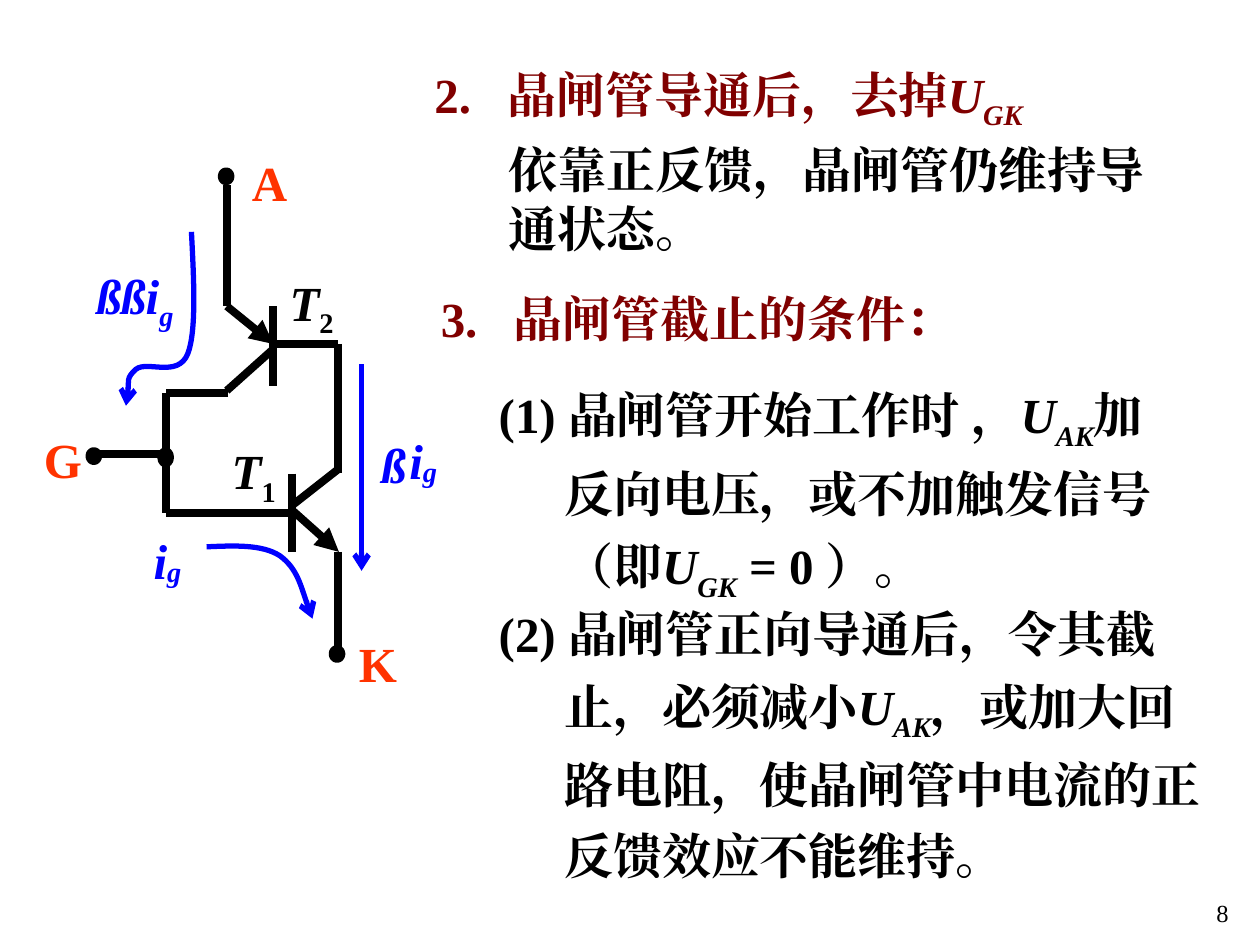
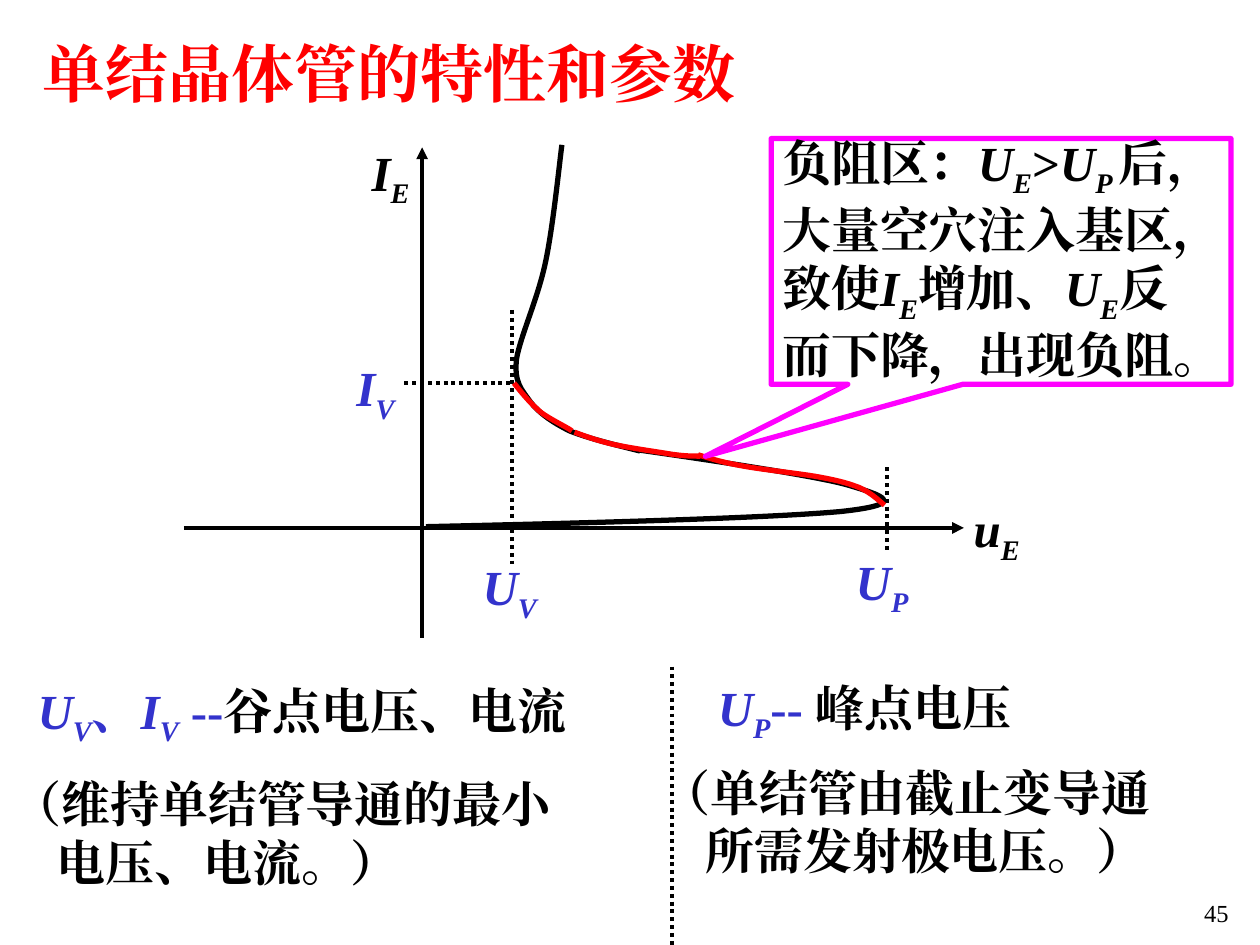
from lxml.etree import SubElement as Sub
from pptx import Presentation
from pptx.dml.color import RGBColor as RGB
from pptx.enum.dml import MSO_LINE as Dash
from pptx.enum.shapes import MSO_CONNECTOR as Conn, MSO_SHAPE as Form
from pptx.enum.text import MSO_ANCHOR as Anchor, MSO_AUTO_SIZE as Auto, PP_ALIGN as Align
from pptx.oxml.ns import qn
from pptx.util import Inches, Pt

BLACK = RGB(0x00, 0x00, 0x00)
WHITE = RGB(0xFF, 0xFF, 0xFF)
MAROON = RGB(0x80, 0x00, 0x00)
RED = RGB(0xFF, 0x00, 0x00)
ORANGE = RGB(0xFF, 0x33, 0x00)
BLUE = RGB(0x00, 0x00, 0xFF)
INDIGO = RGB(0x33, 0x33, 0xCC)
PINK = RGB(0xFF, 0x00, 0xFF)
FACE = "Times New Roman"


def write(para, text, size=28, color=BLACK, bold=True, slant=False, base=0):
    run = para.add_run()
    run.text = text
    font = run.font
    font.name, font.size = FACE, Pt(size)
    font.bold, font.italic = bold, slant
    font.color.rgb = color
    props = run._r.get_or_add_rPr()
    Sub(props, qn("a:ea")).set("typeface", FACE)
    if base:
        props.set("baseline", str(base * 1000))


def compose(para, parts, color=BLACK, drop=-25, **look):
    for part in parts:
        text, tint = part if isinstance(part, tuple) else (part, color)
        main, mark, low = text.partition("_")
        if not mark:
            write(para, text, color=tint, **look)
            continue
        write(para, main, color=tint, slant=True, **look)
        write(para, low, color=tint, slant=not low.isdigit(), base=drop, **look)


class Page:
    def __init__(self, deck, number, title=None):
        self.slide = deck.slides.add_slide(deck.slide_layouts[5 if title else 6])
        self.shapes = self.slide.shapes
        back = self.slide.background.fill
        back.solid()
        back.fore_color.rgb = WHITE
        if title:
            self.head(title)
        self.text(7.77, 7.08, 2.08, 0.5, [number], align=Align.RIGHT,
                  grow=False, size=14, bold=False)

    def place(self, shape, left, top, wide, high):
        shape.left, shape.top = Inches(left), Inches(top)
        shape.width, shape.height = Inches(wide), Inches(high)

    def head(self, title):
        shape = self.shapes.title
        self.place(shape, 0.24, 0.22, 5.8, 0.7)
        frame = shape.text_frame
        frame.auto_size, frame.word_wrap = Auto.SHAPE_TO_FIT_TEXT, True
        frame.vertical_anchor = Anchor.MIDDLE
        para = frame.paragraphs[0]
        para.alignment = Align.LEFT
        write(para, title, size=36, color=RED)

    def text(self, left, top, wide, high, *rows, wrap=True, grow=True,
             align=Align.LEFT, space=None, hang=0, inset=0, **look):
        box = self.shapes.add_textbox(*map(Inches, (left, top, wide, high)))
        frame = box.text_frame
        frame.word_wrap = wrap
        frame.auto_size = Auto.SHAPE_TO_FIT_TEXT if grow else Auto.NONE
        for spot, parts in enumerate(rows):
            para = frame.add_paragraph() if spot else frame.paragraphs[0]
            para.alignment = align
            if space:
                para.line_spacing = space
            props = para._p.get_or_add_pPr()
            props.set("hangingPunct", "0")
            if hang or (inset and spot):
                props.set("marL", str(Inches(hang or inset)))
                props.set("indent", str(-Inches(hang)))
            compose(para, parts, **look)

    def label(self, left, top, wide, name, high=0.63, **look):
        self.text(left, top, wide, high, [name], wrap=False, **look)

    def stroke(self, shape, color, width, dash=None, tip=None):
        line = shape.line
        line.color.rgb, line.width = color, Pt(width)
        if dash:
            line.dash_style = dash
        if tip:
            Sub(line._get_or_add_ln(), qn("a:tailEnd")).set("type", tip)

    def line(self, ax, ay, bx, by, color=BLACK, width=4.5, **style):
        wire = self.shapes.add_connector(Conn.STRAIGHT, *map(Inches, (ax, ay, bx, by)))
        self.stroke(wire, color, width, **style)
        Sub(wire._element.spPr, qn("a:effectLst"))

    def curve(self, start, *bends, color=BLACK, **style):
        dots = [(Inches(bend[k]), Inches(bend[k + 1])) for bend in bends for k in (0, 2, 4)]
        pen = self.shapes.build_freeform(*map(Inches, start))
        pen.add_line_segments(dots, close=False)
        shape = pen.convert_to_shape()
        track = next(shape._element.iter(qn("a:path")))
        legs = track.findall(qn("a:lnTo"))
        for first in range(0, len(legs), 3):
            bend = Sub(track, qn("a:cubicBezTo"))
            for leg in legs[first:first + 3]:
                bend.append(leg[0])
                track.remove(leg)
        shape.shadow.inherit = False
        shape.fill.background()
        self.stroke(shape, color, 3, **style)

    def node(self, left, top, high=0.08):
        dot = self.shapes.add_shape(Form.OVAL, *map(Inches, (left, top, 0.07, high)))
        dot.shadow.inherit = False
        dot.fill.solid()
        dot.fill.fore_color.rgb = BLACK
        self.stroke(dot, BLACK, 4.5)

    def callout(self, left, top, wide, high, tipx, tipy):
        shape = self.shapes.add_shape(Form.RECTANGULAR_CALLOUT,
                                      *map(Inches, (left, top, wide, high)))
        shape.adjustments[0], shape.adjustments[1] = tipx, tipy
        shape.shadow.inherit = False
        shape.fill.background()
        self.stroke(shape, PINK, 3)


def circuit(page):
    wires = [
        (1.8, 1.47, 1.8, 2.02), (1.8, 2.02, 1.8, 2.43),
        (2.17, 2.43, 2.17, 3.06), (2.17, 2.77, 1.8, 3.1),
        (1.81, 3.12, 1.57, 3.12), (1.73, 3.12, 1.32, 3.12),
        (1.32, 3.12, 1.32, 4.07), (0.78, 3.6, 1.32, 3.6),
        (2.34, 4.07, 1.32, 4.07), (2.32, 3.76, 2.32, 4.38),
        (2.69, 3.72, 2.32, 4.01), (2.2, 2.73, 2.68, 2.73),
        (2.68, 2.73, 2.68, 3.75), (2.68, 4.38, 2.68, 5.17),
    ]
    for wire in wires:
        page.line(*wire)
    page.line(1.8, 2.43, 2.17, 2.73, tip="triangle")
    page.line(2.32, 4.05, 2.69, 4.38, tip="triangle")
    for left, top in [(0.71, 3.58), (1.76, 1.36), (2.64, 5.15)]:
        page.node(left, top)
    page.node(1.28, 3.58, high=0.1)

    flow = dict(color=BLUE, tip="arrow")
    page.curve((1.64, 4.34), (1.86, 4.33, 2.08, 4.32, 2.22, 4.41),
               (2.36, 4.51, 2.45, 4.84, 2.48, 4.91), **flow)
    page.curve((1.52, 1.84), (1.54, 2.23, 1.56, 2.63, 1.49, 2.81),
               (1.41, 3, 1.17, 2.86, 1.08, 2.93), (1, 3, 1.02, 3.17, 1, 3.22), **flow)
    page.line(2.87, 2.89, 2.87, 4.53, width=3, **flow)

    for left, top, wide, name in [(1.9, 1.16, 0.48, "A"), (0.25, 3.36, 0.5, "G"),
                                  (2.75, 4.98, 0.5, "K")]:
        page.label(left, top, wide, name, high=0.57, color=ORANGE)
    for left, top in [(1.12, 4.16), (3.15, 3.37)]:
        page.label(left, top, 0.42, "i_g", high=0.57, color=BLUE, drop=-6)
    page.label(2.93, 3.4, 0.39, "ß", high=0.57, color=BLUE, slant=True)
    page.label(0.67, 2.06, 0.81, "ßßi_g", color=BLUE)
    page.label(1.74, 3.45, 0.55, "T_1")
    page.text(2.2, 2.11, 0.87, 0.63, ["T_2"])


def turnoff(deck):
    page = Page(deck, "8")
    page.text(3.35, 0.46, 5.3, 0.63, ["2.\t晶闸管导通后，去掉", "U_GK"],
              color=MAROON, hang=0.58)
    page.text(3.94, 1.06, 5.37, 1.04, ["依靠正反馈，晶闸管仍维持导通状态。"])
    page.text(3.4, 2.24, 4.6, 0.57, ["3.\t晶闸管截止的条件："], color=MAROON, hang=0.58)
    item = dict(space=1.2, hang=0.52)
    page.text(3.86, 2.9, 5.52, 1.94,
              ["(1) 晶闸管开始工作时 ，", "U_AK", "加反向电压，或不加触发信号（即",
               "U_GK", " = 0 ）。"], **item)
    page.text(3.86, 4.65, 5.92, 2.42,
              ["(2) 晶闸管正向导通后，令其截止，必须减小", "U_AK",
               "，或加大回路电阻，使晶闸管中电流的正反馈效应不能维持。"], **item)
    circuit(page)


def graph(page):
    for axis in [(3.35, 5.06, 3.35, 1.17), (1.46, 4.19, 7.65, 4.19)]:
        page.line(*axis, width=2.25, tip="triangle")
    for guide in [(4.06, 2.46, 4.06, 4.48), (7.04, 3.71, 7.04, 4.38),
                  (3.21, 3.04, 4.06, 3.04), (5.33, 5.29, 5.33, 7.5)]:
        page.line(*guide, width=2.25, dash=Dash.ROUND_DOT)
    for left, top, wide, name, color in [
            (2.85, 1.08, 0.5, "I_E", BLACK), (7.61, 3.91, 0.6, "u_E", BLACK),
            (3.73, 4.37, 0.63, "U_V", INDIGO), (6.69, 4.33, 0.62, "U_P", INDIGO),
            (2.73, 2.79, 0.5, "I_V", INDIGO)]:
        page.label(left, top, wide, name, color=color, align=Align.CENTER)

    page.curve((3.38, 4.18), (4.75, 4.15, 6.11, 4.11, 6.67, 4.06),
               (7.23, 4, 7, 3.93, 6.73, 3.85), (6.46, 3.77, 5.34, 3.61, 5.06, 3.57))
    page.curve((5.08, 3.58), (4.88, 3.53, 4.67, 3.48, 4.52, 3.42),
               (4.38, 3.35, 4.28, 3.28, 4.21, 3.19), (4.14, 3.09, 4.08, 3.04, 4.1, 2.85),
               (4.13, 2.67, 4.27, 2.37, 4.33, 2.08), (4.39, 1.8, 4.44, 1.3, 4.46, 1.15))
    page.curve((4.08, 3.04), (4.15, 3.13, 4.22, 3.21, 4.29, 3.27),
               (4.37, 3.33, 4.5, 3.39, 4.54, 3.42), color=RED)
    page.curve((4.56, 3.43), (4.64, 3.46, 4.72, 3.49, 4.84, 3.52),
               (4.96, 3.55, 5.18, 3.58, 5.3, 3.6), (5.42, 3.62, 5.49, 3.62, 5.56, 3.62),
               color=RED)
    page.curve((5.54, 3.61), (5.64, 3.64, 5.73, 3.67, 5.9, 3.7),
               (6.06, 3.73, 6.37, 3.76, 6.52, 3.79), (6.68, 3.82, 6.74, 3.84, 6.82, 3.87),
               (6.91, 3.91, 6.96, 3.96, 7.02, 4.01), color=RED)


def traits(deck):
    page = Page(deck, "45", "单结晶体管的特性和参数")
    graph(page)
    page.callout(6.12, 1.1, 3.65, 1.95, -0.643, 0.793)
    page.text(6.11, 1, 3.84, 2.1,
              ["负阻区：", "U_E", ">", "U_P ", "后，"],
              ["大量空穴注入基区，"],
              ["致使", "I_E", "增加、", "U_E", "反"],
              ["而下降，出现负阻。"], wrap=False)
    page.text(0.2, 5.35, 4.85, 0.63,
              ["U_V", "、", "I_V", " --", ("谷点电压、电流", BLACK)], color=INDIGO)
    page.text(0, 6.09, 5.61, 1.04, ["（维持单结管导通的最小"], ["电压、电流。）"], inset=0.35)
    page.text(5.55, 5.33, 2.62, 0.63, ["U_P", "-- ", ("峰点电压", BLACK)],
              color=INDIGO, wrap=False, align=Align.CENTER)
    page.text(5.15, 6, 4.47, 1.04, ["（单结管由截止变导通"], ["所需发射极电压。）"], inset=0.35)


def main():
    deck = Presentation()
    deck.slide_width, deck.slide_height = Inches(10), Inches(7.5)
    turnoff(deck)
    traits(deck)
    deck.save("out.pptx")


if __name__ == "__main__":
    main()
